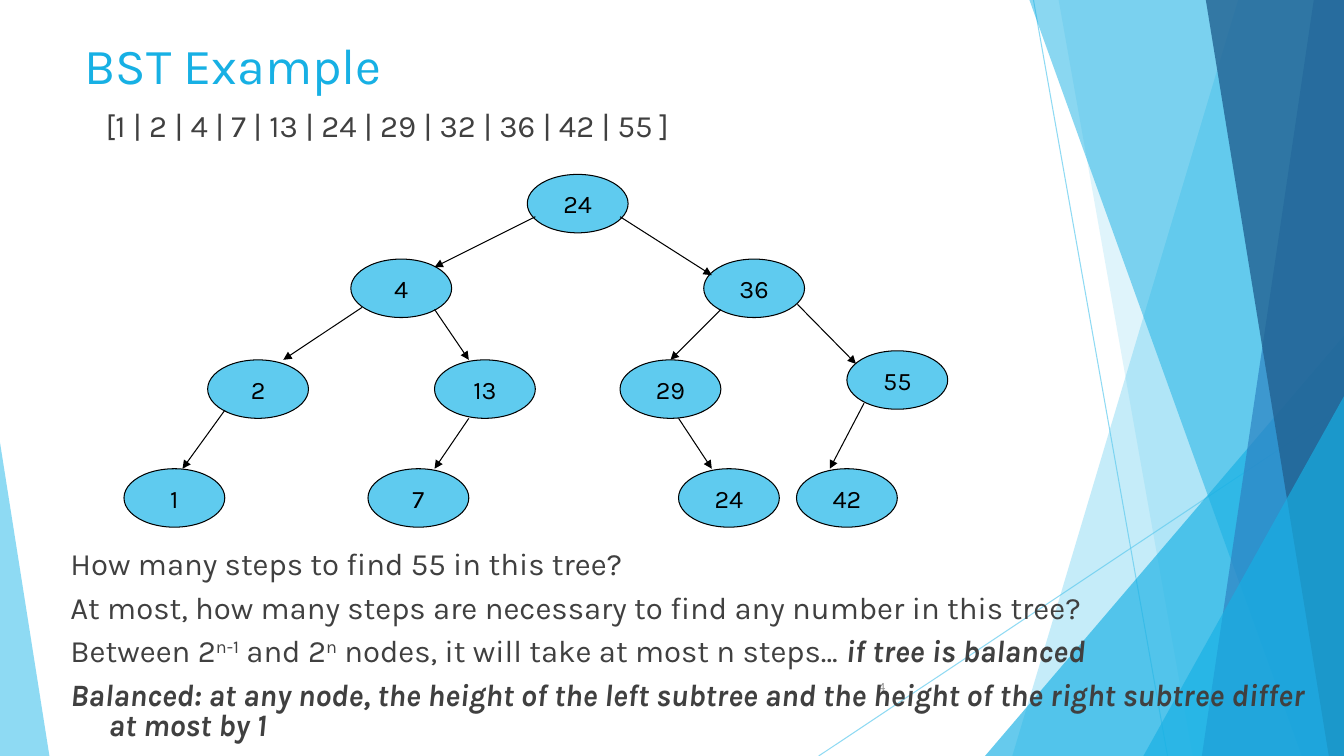
from lxml import etree
from pptx import Presentation
from pptx.dml.color import RGBColor
from pptx.enum.shapes import MSO_CONNECTOR, MSO_SHAPE
from pptx.enum.text import MSO_ANCHOR, PP_ALIGN
from pptx.oxml.ns import qn
from pptx.util import Inches, Pt

WIDTH, HEIGHT = 13.33, 7.5
SKY, CYAN, BLUE, NAVY = "5FCBEF", "17B0E4", "2E83C3", "226292"
BLACK, GREY, TEXT = "000000", "8C8C8C", "404040"
NODE_W, NODE_H = 1, 0.58

NODES = [
    ("24", 5.23, 1.73),
    ("4", 3.48, 2.57), ("36", 6.98, 2.57),
    ("2", 2.06, 3.57), ("13", 4.31, 3.57), ("29", 6.15, 3.57), ("55", 8.4, 3.48),
    ("1", 1.23, 4.65), ("7", 3.65, 4.65), ("24", 6.73, 4.65), ("42", 7.9, 4.65),
]
EDGES = [
    (5.31, 2.15, 4.31, 2.65), (6.15, 2.15, 7.06, 2.73),
    (3.59, 3.05, 2.81, 3.57), (4.31, 3.07, 4.65, 3.57),
    (7.15, 3.07, 6.65, 3.57), (7.91, 3.02, 8.49, 3.61),
    (2.23, 4.07, 1.81, 4.65), (4.65, 4.15, 4.31, 4.65),
    (6.73, 4.15, 7.06, 4.65), (8.57, 4, 8.23, 4.65),
]
STRONG = {"bold": True, "italic": True}
QUESTIONS = [
    [("How many steps to find 55 in this tree?", {}, 0)],
    [("At most, how many steps are necessary to find any number in this tree?", {}, 0)],
    [("Between 2", {}, 0), ("n-1", {}, 30), (" and 2", {}, 0), ("n", {}, 30),
     (" nodes, it will take at most n steps… ", {}, 0),
     ("if tree is balanced", STRONG, 0)],
    [("Balanced: at any node, the height of the left subtree and the height "
      "of the right subtree differ at most by 1", STRONG, 0)],
]


def set_color(color_format, color, alpha=100):
    color_format.rgb = RGBColor.from_string(color)
    if alpha < 100:
        for clr in color_format._xFill.iter(qn("a:srgbClr")):
            etree.SubElement(clr, qn("a:alpha"), val=str(alpha * 1000))


def set_attrs(obj, values):
    for name, value in values.items():
        setattr(obj, name, value)


def fill_shape(sp, color, alpha=100):
    sp.shadow.inherit = False
    sp.fill.solid()
    sp.fill.fore_color.rgb = RGBColor.from_string(color)
    if alpha < 100:
        clr = sp.fill._xPr.find(qn("a:solidFill")).find(qn("a:srgbClr"))
        etree.SubElement(clr, qn("a:alpha"), val=str(alpha * 1000))
    sp.line.fill.background()


def add_line(s, x1, y1, x2, y2, color, alpha=100, arrow=False):
    cxn = s.shapes.add_connector(
        MSO_CONNECTOR.STRAIGHT, Inches(x1), Inches(y1), Inches(x2), Inches(y2))
    cxn.line.width = Pt(0.75)
    cxn.line.color.rgb = RGBColor.from_string(color)
    ln = cxn.line._ln
    if alpha < 100:
        clr = ln.find(qn("a:solidFill")).find(qn("a:srgbClr"))
        etree.SubElement(clr, qn("a:alpha"), val=str(alpha * 1000))
    if arrow:
        etree.SubElement(ln, qn("a:tailEnd"), type="triangle")
    etree.SubElement(cxn._element.spPr, qn("a:effectLst"))


def add_strip(s, top_x, bottom_x, color, alpha):
    fb = s.shapes.build_freeform(Inches(top_x), 0)
    fb.add_line_segments([(Inches(x), Inches(y)) for x, y in
                          [(WIDTH, 0), (WIDTH, HEIGHT), (bottom_x, HEIGHT)]])
    fill_shape(fb.convert_to_shape(), color, alpha)


def add_corner(s, left, top, w, peak, color, alpha):
    sp = s.shapes.add_shape(MSO_SHAPE.ISOSCELES_TRIANGLE, Inches(left),
                            Inches(top), Inches(w), Inches(HEIGHT - top))
    sp.adjustments[0] = peak
    fill_shape(sp, color, alpha)


def add_backdrop(s):
    add_line(s, 10.25, 0, 11.58, HEIGHT, SKY, 70)
    add_line(s, WIDTH, 4.03, 8.12, HEIGHT, SKY, 70)
    add_strip(s, 12.28, 10.04, SKY, 36)
    add_strip(s, 10.5, 11.83, SKY, 20)
    add_corner(s, 9.77, 3.33, 3.56, 1, CYAN, 66)
    add_strip(s, 10.21, 12.91, CYAN, 50)
    add_strip(s, 13.03, 11.92, BLUE, 70)
    add_strip(s, 11.96, 13.18, NAVY, 80)
    add_corner(s, 11.34, 3.93, 1.99, 1, CYAN, 66)
    add_corner(s, 0, 4.39, 0.49, 0, SKY, 70)


def add_run(p, text, size, color, style=None, baseline=0):
    r = p.add_run()
    r.text = text
    set_attrs(r.font, {"name": "Karla", "size": Pt(size), **(style or {})})
    r.font.color.rgb = RGBColor.from_string(color)
    if baseline:
        r.font._element.set("baseline", str(baseline * 1000))


def add_text(s, left, top, w, h, paragraphs, size, color,
             anchor=MSO_ANCHOR.TOP, indent=0, **para_format):
    tf = s.shapes.add_textbox(Inches(left), Inches(top), Inches(w), Inches(h)).text_frame
    set_attrs(tf, {"word_wrap": True, "vertical_anchor": anchor})
    for i, runs in enumerate(paragraphs):
        p = tf.add_paragraph() if i else tf.paragraphs[0]
        set_attrs(p, {**para_format, "space_before": Pt(10 if i else 0)})
        if indent:
            pPr = p._p.get_or_add_pPr()
            pPr.set("marL", str(Inches(indent)))
            pPr.set("indent", str(-Inches(indent)))
        for text, style, baseline in runs:
            add_run(p, text, size, color, style, baseline)


def add_node(s, value, left, top):
    sp = s.shapes.add_shape(MSO_SHAPE.OVAL, Inches(left), Inches(top),
                            Inches(NODE_W), Inches(NODE_H))
    fill_shape(sp, SKY)
    sp.line.width = Pt(0.75)
    sp.line.color.rgb = RGBColor.from_string(BLACK)
    tf = sp.text_frame
    set_attrs(tf, {"margin_left": 0, "margin_right": 0, "margin_top": 0,
                   "margin_bottom": 0, "vertical_anchor": MSO_ANCHOR.MIDDLE})
    p = tf.paragraphs[0]
    p.alignment = PP_ALIGN.CENTER
    add_run(p, value, 18, BLACK)


def add_tree(s, left, top):
    root_x, root_y = NODES[0][1:]
    dx, dy = left - root_x, top - root_y
    for value, x, y in NODES:
        add_node(s, value, x + dx, y + dy)
    for x1, y1, x2, y2 in EDGES:
        add_line(s, x1 + dx, y1 + dy, x2 + dx, y2 + dy, BLACK, arrow=True)


def main():
    prs = Presentation()
    prs.slide_width, prs.slide_height = Inches(WIDTH), Inches(HEIGHT)
    s = prs.slides.add_slide(prs.slide_layouts[6])
    add_backdrop(s)
    add_text(s, 7.88, 6.61, 1, 0.4, [[("4", {}, 0)]], 9, GREY,
             MSO_ANCHOR.MIDDLE, alignment=PP_ALIGN.RIGHT)
    add_text(s, 0.74, 0.22, 9.4, 0.83, [[("BST Example", {}, 0)]], 36, CYAN,
             MSO_ANCHOR.MIDDLE)
    array = "[1 | 2 | 4 | 7 | 13 | 24 | 29 | 32 | 36 | 42 | 55 ]"
    add_text(s, 0.95, 1.08, 9, 0.45, [[(array, {}, 0)]], 22.2, TEXT, line_spacing=0.8)
    add_text(s, 0.6, 5.42, 12.46, 2.08, QUESTIONS, 22.2, TEXT,
             indent=0.38, line_spacing=0.8)
    add_tree(s, 5.23, 1.73)


    prs.save("out.pptx")


if __name__ == "__main__":
    main()
